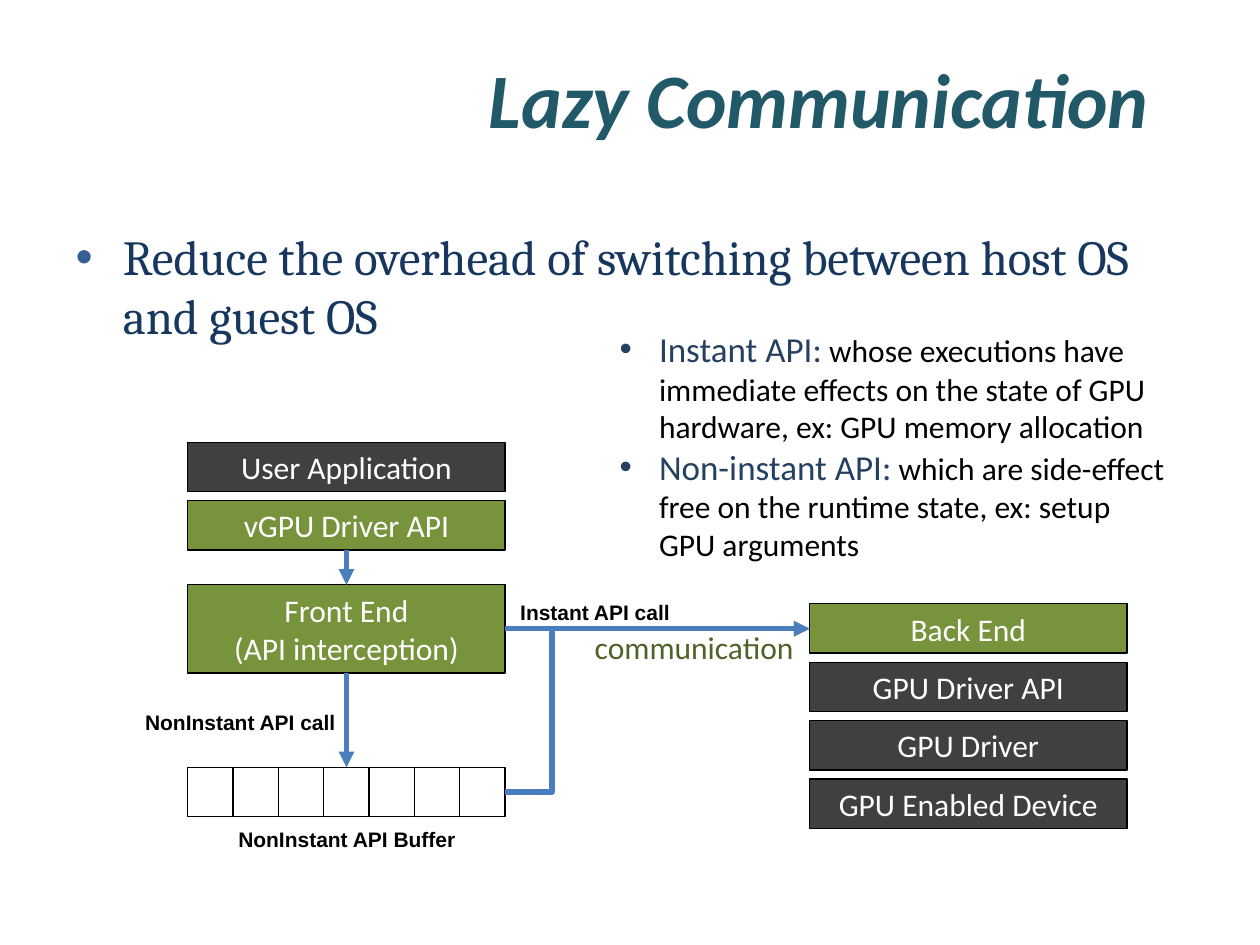
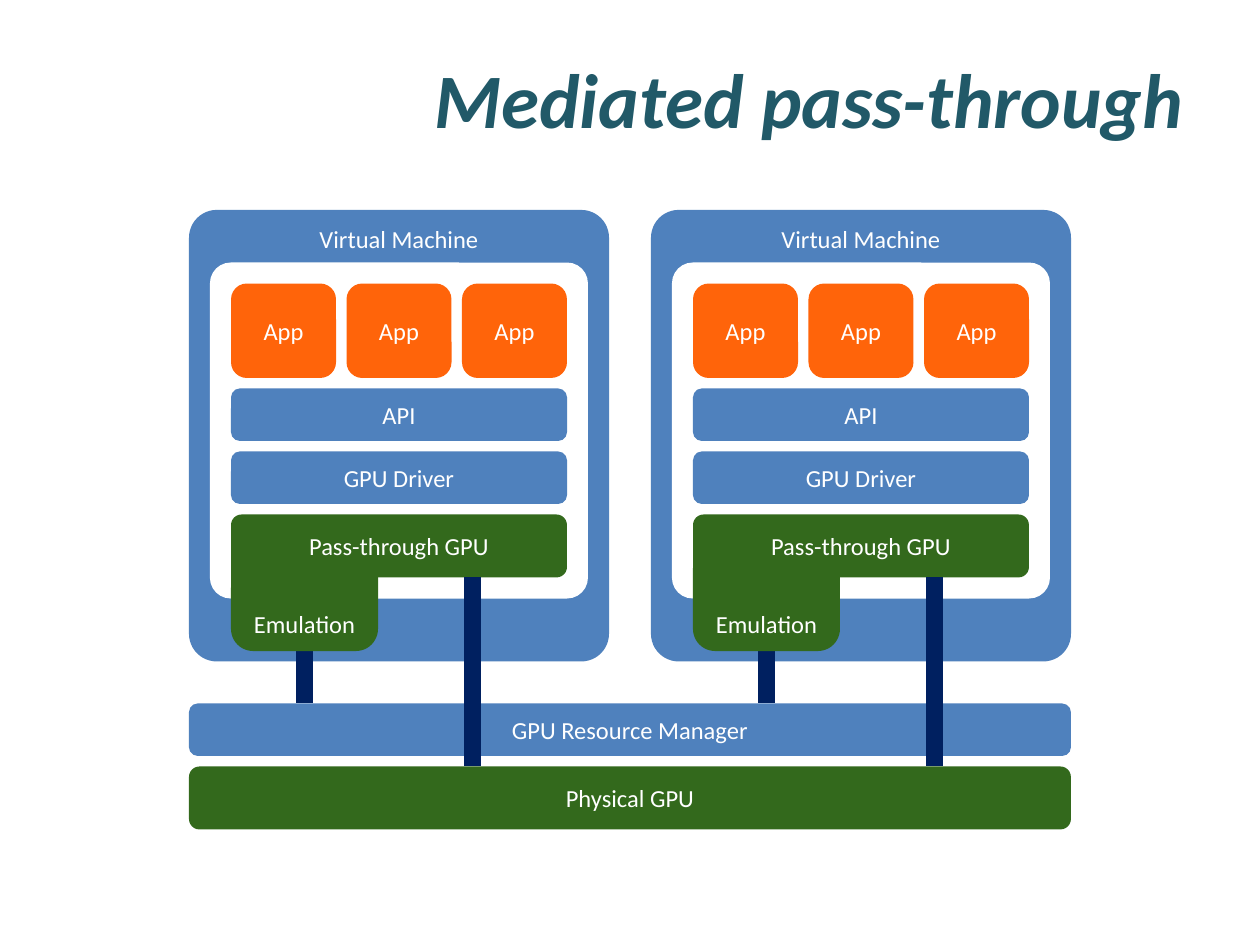
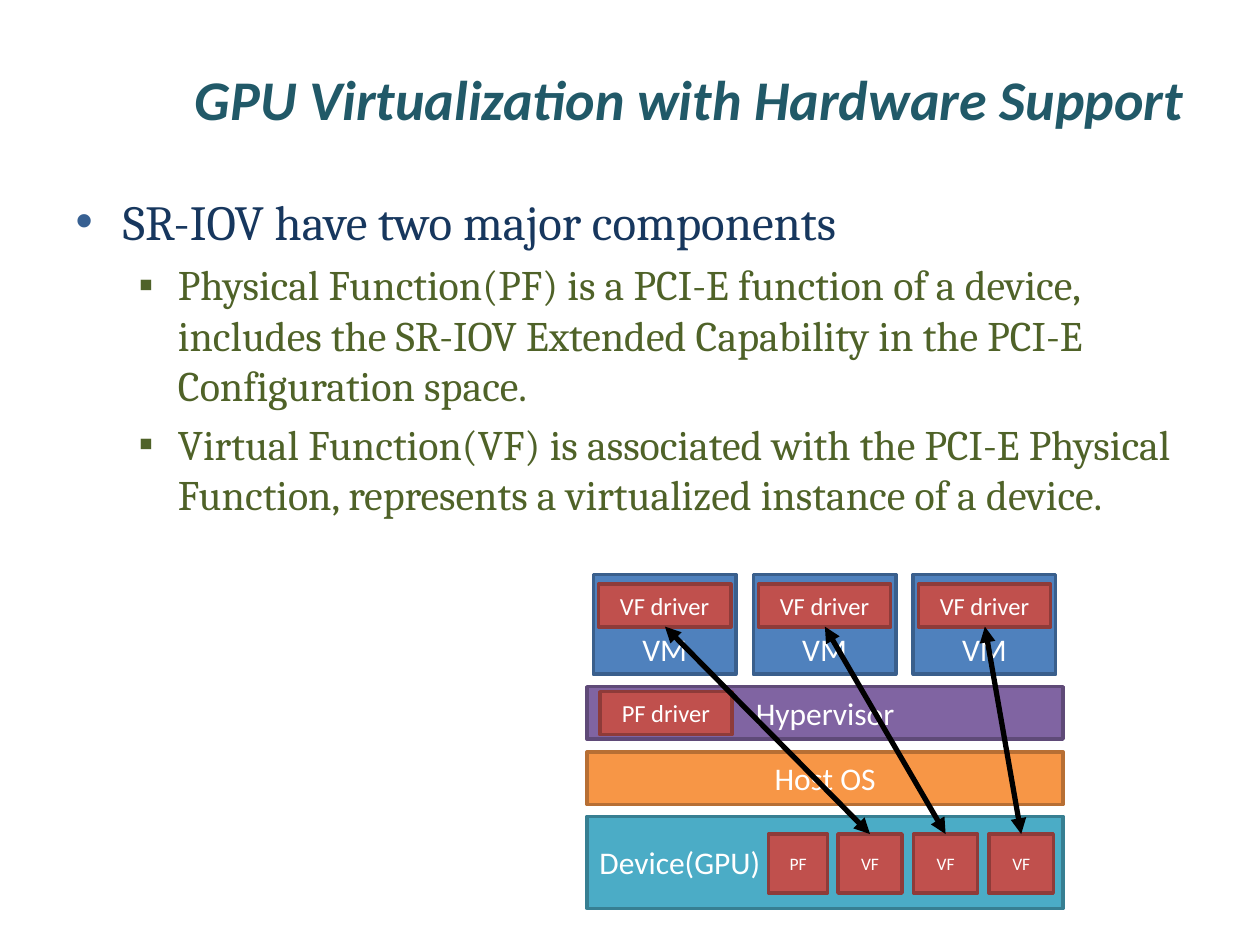
from dataclasses import dataclass

from lxml.etree import SubElement
from pptx import Presentation
from pptx.dml.color import RGBColor
from pptx.enum.shapes import MSO_CONNECTOR, MSO_SHAPE
from pptx.enum.text import MSO_ANCHOR, MSO_AUTO_SIZE, PP_ALIGN
from pptx.oxml.ns import qn
from pptx.util import Pt


@dataclass(frozen=True)
class Theme:
    """Colours, fonts and type sizes shared by the slides."""

    heading: str = "Calibri"
    body: str = "Cambria"
    label: str = "Arial"
    title: str = "215968"
    point: str = "17375E"
    bullet: str = "376092"
    olive: str = "4F6228"
    term: str = "254061"
    black: str = "000000"
    white: str = "FFFFFF"
    charcoal: str = "404040"
    moss: str = "77933C"
    flow: str = "4B7EBC"
    blue: str = "4F81BD"
    blue_edge: str = "3A5F8C"
    forest: str = "33691C"
    app: str = "FF640A"
    link: str = "002060"
    red: str = "C0504D"
    red_edge: str = "8E3B39"
    purple: str = "8064A2"
    purple_edge: str = "5F4A78"
    orange: str = "F79646"
    orange_edge: str = "B76F34"
    teal: str = "4BACC6"
    teal_edge: str = "377F92"
    title_size: int = 44
    long_title_size: int = 32
    point_size: int = 28
    subpoint_size: int = 24
    term_size: int = 20
    box_size: int = 18
    part_size: int = 14
    label_size: int = 12
    unit_size: int = 10


T = Theme()
TITLE_BOX = (36, 21.6, 648, 68.4)


def points(*values):
    """Convert numbers to lengths in points."""
    return [Pt(v) for v in values]


def rgb(color):
    """Turn a theme colour into an RGB value."""
    return RGBColor.from_string(color)


def style(r, size, color, name=T.heading, **more):
    """Format one run."""
    for key, value in {"size": Pt(size), "name": name, **more}.items():
        setattr(r.font, key, value)
    r.font.color.rgb = rgb(color)


def add_bullet(p, char, color, left, hang):
    """Give a paragraph a hanging bullet."""
    pPr = p._p.get_or_add_pPr()
    pPr.set("marL", str(Pt(left)))
    pPr.set("indent", str(-Pt(hang)))
    SubElement(SubElement(pPr, qn("a:buClr")), qn("a:srgbClr"), val=color)
    SubElement(pPr, qn("a:buFont"), typeface="Arial")
    SubElement(pPr, qn("a:buChar"), char=char)


def place(sp, box):
    """Move a shape to a box."""
    for key, value in zip(("left", "top", "width", "height"), points(*box)):
        setattr(sp, key, value)


def set_frame(tf, **fmt):
    """Set the text frame's attributes."""
    for key, value in fmt.items():
        setattr(tf, key, value)


def add_block(s, box, fill, text="", edge=None, weight=0.75, size=T.box_size,
              radius=None, align=PP_ALIGN.CENTER, anchor=MSO_ANCHOR.MIDDLE):
    """Draw a filled block with a caption; a radius rounds its corners."""
    kind = MSO_SHAPE.RECTANGLE if radius is None else MSO_SHAPE.ROUNDED_RECTANGLE
    sp = s.shapes.add_shape(kind, *points(*box))
    sp.shadow.inherit = False
    sp.fill.solid()
    sp.fill.fore_color.rgb = rgb(fill)
    if radius is not None:
        sp.adjustments[0] = radius
    if edge:
        sp.line.color.rgb = rgb(edge)
        sp.line.width = Pt(weight)
    else:
        sp.line.fill.background()
    if text:
        set_frame(sp.text_frame, vertical_anchor=anchor, word_wrap=False)
        p = sp.text_frame.paragraphs[0]
        p.text = text
        p.alignment = align
        for r in p.runs:
            style(r, size, T.white)


def add_label(s, box, text, size=T.label_size, color=T.black, **fmt):
    """Place a one-line label."""
    tf = s.shapes.add_textbox(*points(*box)).text_frame
    set_frame(tf, word_wrap=False)
    r = tf.paragraphs[0].add_run()
    r.text = text
    style(r, size, color, **fmt)


def add_line(s, start, end, color, weight, ends=(), bend=None):
    """Draw a straight line, or one bent at a share of its width."""
    kind = MSO_CONNECTOR.STRAIGHT if bend is None else MSO_CONNECTOR.ELBOW
    line = s.shapes.add_connector(kind, *points(*start, *end))
    line.line.color.rgb = rgb(color)
    line.line.width = Pt(weight)
    spPr = line._element.spPr
    for end_name in ends:
        SubElement(spPr.find(qn("a:ln")), qn(f"a:{end_name}"), type="triangle")
    SubElement(spPr, qn("a:effectLst"))
    if bend is not None:
        SubElement(spPr.find(f".//{qn('a:avLst')}"), qn("a:gd"),
                   name="adj1", fmla=f"val {round(bend * 100000)}")


def add_slide(prs, layout, title, size=T.title_size, margin_right=7.2):
    """Add a slide with its right-aligned title."""
    s = prs.slides.add_slide(prs.slide_layouts[layout])
    place(s.shapes.title, TITLE_BOX)
    tf = s.shapes.title.text_frame
    set_frame(tf, vertical_anchor=MSO_ANCHOR.MIDDLE, word_wrap=True,
              auto_size=MSO_AUTO_SIZE.NONE, margin_right=Pt(margin_right))
    p = tf.paragraphs[0]
    p.text = title
    p.alignment = PP_ALIGN.RIGHT
    style(p.runs[0], size, T.title, bold=True, italic=True)
    return s


def fill_body(s, box, items):
    """Write (level, text) items into the body placeholder."""
    levels = [
        (("•", T.bullet, 27, 27), T.point_size, T.point),
        (("▪", T.olive, 58.5, 22.5), T.subpoint_size, T.olive),
    ]
    body = s.placeholders[1]
    place(body, box)
    tf = body.text_frame
    set_frame(tf, word_wrap=True, auto_size=MSO_AUTO_SIZE.NONE)
    for i, (level, text) in enumerate(items):
        bullet, size, color = levels[level]
        p = tf.add_paragraph() if i else tf.paragraphs[0]
        p.text = text
        p.level = level
        p.space_before = Pt(0.2 * size if i else 0)
        add_bullet(p, *bullet)
        style(p.runs[0], size, color, T.body)


def add_definitions(s, box, items):
    """List terms with their meanings."""
    tf = s.shapes.add_textbox(*points(*box)).text_frame
    set_frame(tf, word_wrap=True)
    for i, (term, meaning) in enumerate(items):
        p = tf.add_paragraph() if i else tf.paragraphs[0]
        add_bullet(p, "•", T.term, 22.5, 22.5)
        for text, size, color in ((term, T.term_size, T.term),
                                  (meaning, T.box_size, T.black)):
            r = p.add_run()
            r.text = text
            style(r, size, color)


def draw_call_flow(s, left, top):
    """Draw the front end, its call buffer and the back end."""
    width, height, pitch, right = 181.4, 28.2, 33.4, 355.3
    front, front_h, buffer, wire = 81.5, 50.4, 185.8, 106.6
    labels = [
        ((182.9, 86.3, 113, 26), "Instant API call"),
        ((-31.5, 149, 132, 23), "NonInstant API call"),
        ((21.8, 216, 152, 23), "NonInstant API Buffer"),
    ]
    for (x, y, w, h), text in labels:
        add_label(s, (left + x, top + y, w, h), text, name=T.label, bold=True)
    blocks = [
        (0, 0, height, T.charcoal, "User Application"),
        (0, pitch, height, T.moss, "vGPU Driver API"),
        (0, front, front_h, T.moss, "Front End\n(API interception)"),
    ]
    stack = ["Back End", "GPU Driver API", "GPU Driver", "GPU Enabled Device"]
    for i, text in enumerate(stack):
        fill = T.charcoal if i else T.moss
        blocks.append((right, 92.3 + i * pitch, height, fill, text))
    for x, y, h, fill, text in blocks:
        add_block(s, (left + x, top + y, width, h), fill, text, T.black)
    add_label(s, (left + 225.5, top + 102.7, 130, 30), "communication",
              T.box_size, T.olive)
    cell = width / 7
    for i in range(7):
        add_block(s, (left + i * cell, top + buffer, cell, height), T.white, edge=T.black)
    lines = [
        ((width / 2, front + front_h), (width / 2, buffer), None),
        ((width, wire), (right, wire), None),
        ((width, buffer + height / 2), (right, wire), 0.154),
        ((width / 2, pitch + height), (width / 2, front), None),
    ]
    for (x1, y1), (x2, y2), bend in lines:
        add_line(s, (left + x1, top + y1), (left + x2, top + y2),
                 T.flow, 3, ["tailEnd"], bend)


def add_part(s, box, fill, text="", radius=0.167, anchor=MSO_ANCHOR.MIDDLE):
    """Draw a rounded part of a machine."""
    add_block(s, box, fill, text, size=T.part_size, radius=radius, anchor=anchor)


def draw_machine(s, left, top):
    """Draw one virtual machine with its links to the hardware."""
    def part(x, y, w, h, *rest):
        add_part(s, (left + x, top + y, w, h), *rest)

    def link(x, y1, y2):
        add_line(s, (left + x, top + y1), (left + x, top + y2), T.link, 9.75)

    part(0, 0, 240, 258, T.blue, "Virtual Machine", 0.066, MSO_ANCHOR.TOP)
    part(12, 30, 216, 192, T.white, "", 0.062)
    for i in range(3):
        part(24 + 66 * i, 42, 60, 54, T.app, "App")
    part(24, 102, 192, 30, T.blue, "API")
    part(24, 138, 192, 30, T.blue, "GPU Driver")
    link(66, 252, 282)
    part(24, 192, 84, 60, T.forest, "Emulation", 0.211, MSO_ANCHOR.BOTTOM)
    part(24, 174, 192, 36, T.forest, "Pass-through GPU")
    link(162, 210, 318)


def draw_pass_through(s, left, top):
    """Draw the shared hardware below two virtual machines."""
    add_part(s, (left, top + 318, 504, 36), T.forest, "Physical GPU")
    add_part(s, (left, top + 282, 504, 30), T.blue, "GPU Resource Manager")
    for i in range(2):
        draw_machine(s, left + 264 * i, top)


def draw_functions(s, left, top):
    """Draw machines joined to the virtual functions of a device."""
    width, layer_h, pitch, unit_y = 272, 30, 91.4, 148.3
    vf_left, vf_w, vf_pitch, unit_h = 143.3, 36.7, 43.2, 33.8

    def block(x, y, w, h, fill, edge, text, size=T.box_size, **more):
        add_block(s, (left + x, top + y, w, h), fill, text, edge, 2, size, **more)

    def driver(x, y, text):
        block(x, y, 75.6, 24.5, T.red, T.red_edge, text, T.part_size)

    def unit(x, w, text):
        block(x, unit_y, w, unit_h, T.red, T.red_edge, text, T.unit_size)

    block(0, 101.5, width, layer_h, T.orange, T.orange_edge, "Host OS")
    block(0, 64.1, width, layer_h, T.purple, T.purple_edge, "Hypervisor")
    driver(7.2, 67, "PF driver")
    for i in range(3):
        x = 3.6 + i * pitch
        block(x, 0, 81.4, 57, T.blue, T.blue_edge, "VM", anchor=MSO_ANCHOR.BOTTOM)
        driver(x + 2.9, 5.5, "VF driver")
    block(0, 138.2, width, 52.6, T.teal, T.teal_edge, "Device(GPU)", align=PP_ALIGN.LEFT)
    unit(103.7, unit_h, "PF")
    for i in range(3):
        unit(vf_left + i * vf_pitch, vf_w, "VF")
    for i in range(3):
        add_line(s, (left + 44.5 + i * pitch, top + 29.8),
                 (left + vf_left + vf_w / 2 + i * vf_pitch, top + unit_y),
                 T.black, 3, ["headEnd", "tailEnd"])


def lazy_communication(prs):
    """Build the slide on lazy communication."""
    s = add_slide(prs, 1, "Lazy Communication", margin_right=27.2)
    fill_body(s, (36, 126, 648, 356.4), [
        (0, "Reduce the overhead of switching between host OS and guest OS"),
    ])
    draw_call_flow(s, 107.3, 252.7)
    add_definitions(s, (347, 183.6, 330.5, 143.3), [
        ("Instant API:", " whose executions have immediate effects on the state of "
         "GPU hardware, ex: GPU memory allocation"),
        ("Non-instant API:", " which are side-effect free on the runtime state, "
         "ex: setup GPU arguments"),
    ])


def mediated_pass_through(prs):
    """Build the slide on mediated pass-through."""
    s = add_slide(prs, 5, "Mediated pass-through")
    draw_pass_through(s, 108, 120)


def hardware_support(prs):
    """Build the slide on hardware support."""
    s = add_slide(prs, 1, "GPU Virtualization with Hardware Support", T.long_title_size)
    fill_body(s, (36, 105.8, 648, 228.2), [
        (0, "SR-IOV have two major components"),
        (1, "Physical Function(PF) is a PCI-E function of a device, includes the "
            "SR-IOV Extended Capability in the PCI-E Configuration space."),
        (1, "Virtual Function(VF) is associated with the PCI-E Physical Function, "
            "represents a virtualized instance of a device."),
    ])
    draw_functions(s, 335.5, 328.3)


def main():
    """Build the presentation."""
    prs = Presentation()
    prs.slide_width, prs.slide_height = points(720, 540)
    lazy_communication(prs)
    mediated_pass_through(prs)
    hardware_support(prs)
    prs.save("out.pptx")


if __name__ == "__main__":
    main()
